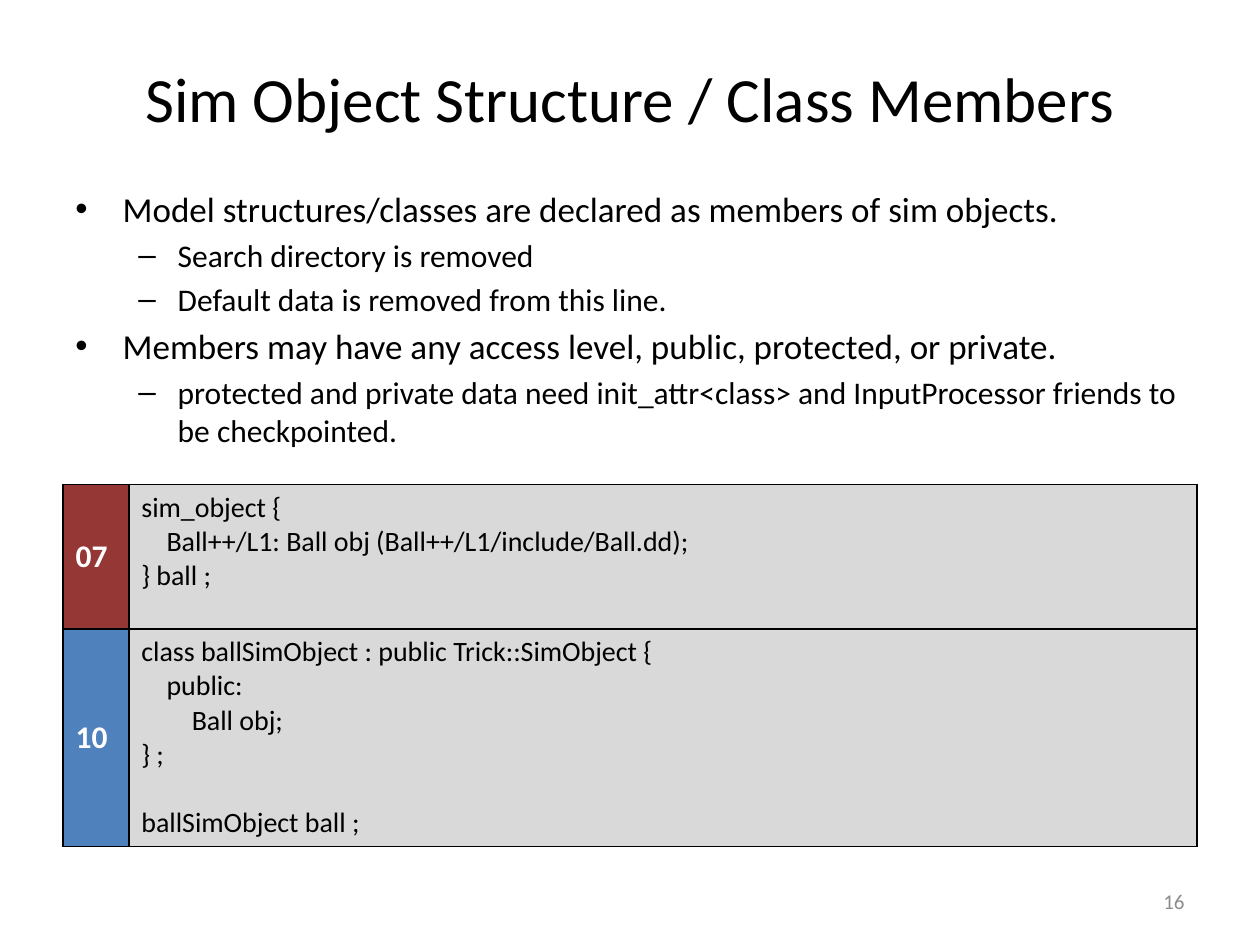
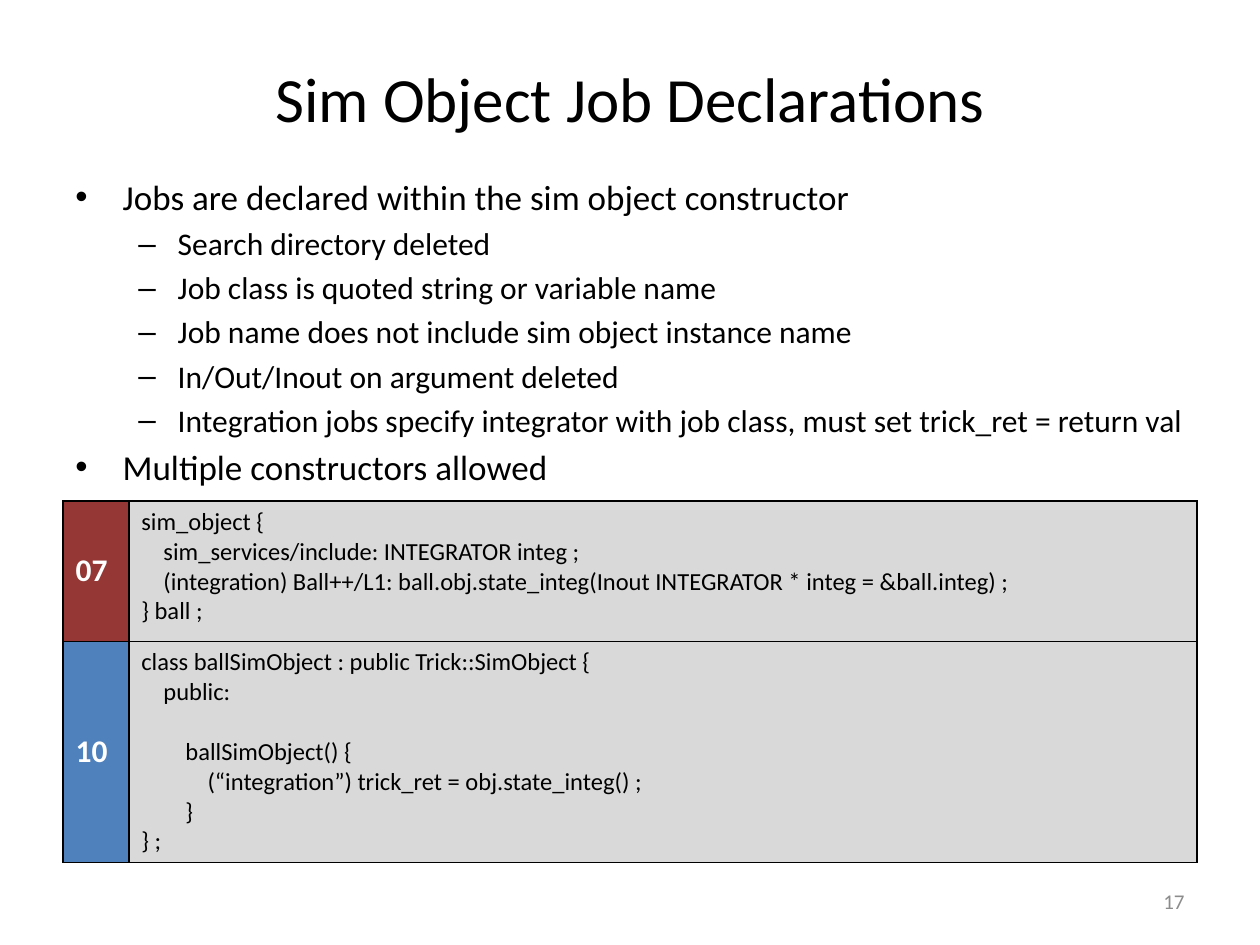
from lxml import etree
from pptx import Presentation
from pptx.dml.color import RGBColor
from pptx.enum.text import MSO_ANCHOR, PP_ALIGN
from pptx.oxml.ns import qn
from pptx.util import Pt

TOP, MIDDLE = MSO_ANCHOR.TOP, MSO_ANCHOR.MIDDLE
LEFT, CENTER, RIGHT = PP_ALIGN.LEFT, PP_ALIGN.CENTER, PP_ALIGN.RIGHT

BLACK = RGBColor(0x00, 0x00, 0x00)
WHITE = RGBColor(0xFF, 0xFF, 0xFF)
RED = RGBColor(0x95, 0x37, 0x35)
BLUE = RGBColor(0x4F, 0x81, 0xBD)
PALE = RGBColor(0xD9, 0xD9, 0xD9)
GREY = RGBColor(0x8C, 0x8C, 0x8C)

FACE = "Calibri"
EDGE, WIDE = 36, 648
TAG_W = 37.6
LINE = 1.22
TAB = 0.9
TAGS = [("07", RED), ("10", BLUE)]
LEVELS = [
    {"size": 20, "mark": "•", "left": 27, "hang": -27},
    {"size": 18, "mark": "–", "left": 58.5, "hang": -22.5},
]

SLIDES = [
    {
        "title": "Sim Object Structure / Class Members",
        "page": "16",
        "top": 103.5,
        "points": [
            (0, "Model structures/classes are declared as members of sim objects."),
            (1, "Search directory is removed"),
            (1, "Default data is removed from this line."),
            (0, "Members may have any access level, public, protected, or private."),
            (1, "protected and private data need init_attr<class> and "
                "InputProcessor friends to be checkpointed."),
        ],
        "grid": {"top": 276.8, "rows": [82.5, 124.5], "size": 16},
        "code": [
            [
                (0, "sim_object {"),
                (1, "Ball++/L1: Ball obj (Ball++/L1/include/Ball.dd);"),
                (0, "} ball ;"),
            ],
            [
                (0, "class ballSimObject : public Trick::SimObject {"),
                (1, "public:"),
                (2, "Ball obj;"),
                (0, "} ;"),
                (0, "ballSimObject ball ;", 1),
            ],
        ],
    },
    {
        "title": "Sim Object Job Declarations",
        "page": "17",
        "top": 97,
        "points": [
            (0, "Jobs are declared within the sim object constructor"),
            (1, "Search directory deleted"),
            (1, "Job class is quoted string or variable name"),
            (1, "Job name does not include sim object instance name"),
            (1, "In/Out/Inout on argument deleted"),
            (1, "Integration jobs specify integrator with job class, "
                "must set trick_ret = return val"),
            (0, "Multiple constructors allowed"),
        ],
        "grid": {"top": 286.2, "rows": [80.3, 126.5], "size": 14},
        "code": [
            [
                (0, "sim_object {"),
                (1, "sim_services/include: INTEGRATOR integ ;"),
                (1, "(integration) Ball++/L1: ball.obj.state_integ"
                    "(Inout INTEGRATOR * integ = &ball.integ) ;"),
                (0, "} ball ;"),
            ],
            [
                (0, "class ballSimObject : public Trick::SimObject {"),
                (1, "public:"),
                (2, "ballSimObject() {", 1),
                (3, "(“integration”) trick_ret = obj.state_integ() ;"),
                (2, "}"),
                (0, "} ;"),
            ],
        ],
    },
]


def next_para(frame):
    first = frame.paragraphs[0]
    return frame.add_paragraph() if first.runs else first


def write(frame, text, size, color=BLACK, align=LEFT, bold=False):
    para = next_para(frame)
    para.alignment = align
    run = para.add_run()
    run.text = text
    style = {"name": FACE, "size": Pt(size), "bold": bold}
    for key, value in style.items():
        setattr(run.font, key, value)
    run.font.color.rgb = color
    return para


def indent(para, left, hang=0):
    props = para._p.get_or_add_pPr()
    for key, value in {"marL": left, "indent": hang}.items():
        props.set(key, str(int(Pt(value))))
    return props


def add_box(slide, left, top, width, height, anchor=TOP):
    box = slide.shapes.add_textbox(Pt(left), Pt(top), Pt(width), Pt(height))
    frame = box.text_frame
    for key, value in {"word_wrap": True, "vertical_anchor": anchor}.items():
        setattr(frame, key, value)
    return frame


def add_title(slide, text):
    frame = add_box(slide, EDGE, 21.6, WIDE, 68.4, MIDDLE)
    write(frame, text, 36, align=CENTER)


def add_page(slide, text):
    frame = add_box(slide, 516, 500.5, 168, 28.8, MIDDLE)
    write(frame, text, 12, GREY, RIGHT)


def add_points(slide, top, points):
    frame = add_box(slide, EDGE, top, WIDE, 378.7)
    for level, text in points:
        look = LEVELS[level]
        para = write(frame, text, look["size"])
        para.level = level
        para.space_before = Pt(0.2 * look["size"])
        props = indent(para, look["left"], look["hang"])
        font = etree.SubElement(props, qn("a:buFont"))
        font.set("typeface", "Arial")
        mark = etree.SubElement(props, qn("a:buChar"))
        mark.set("char", look["mark"])


def paint(cell, color):
    props = cell._tc.get_or_add_tcPr()
    for side in ("a:lnL", "a:lnR", "a:lnT", "a:lnB"):
        line = etree.SubElement(props, qn(side), w=str(int(Pt(1))))
        fill = etree.SubElement(line, qn("a:solidFill"))
        etree.SubElement(fill, qn("a:srgbClr"), val=str(BLACK))
    cell.fill.solid()
    cell.fill.fore_color.rgb = color


def write_code(frame, lines, size):
    for depth, text, *gap in lines:
        para = write(frame, text, size)
        indent(para, depth * TAB * size)
        if gap:
            para.space_before = Pt(gap[0] * LINE * size)


def add_code(slide, grid, blocks):
    rows = grid["rows"]
    shape = slide.shapes.add_table(
        len(rows), 2, Pt(EDGE), Pt(grid["top"]), Pt(WIDE), Pt(sum(rows)))
    table = shape.table
    for key in ("first_row", "horz_banding"):
        setattr(table, key, False)
    for col, width in zip(table.columns, (TAG_W, WIDE - TAG_W)):
        col.width = Pt(width)
    for row, height, (tag, color), lines in zip(table.rows, rows, TAGS, blocks):
        row.height = Pt(height)
        label, body = row.cells
        label.vertical_anchor = MIDDLE
        write(label.text_frame, tag, 18, WHITE, bold=True)
        paint(label, color)
        write_code(body.text_frame, lines, grid["size"])
        paint(body, PALE)


def main():
    deck = Presentation()
    deck.slide_width, deck.slide_height = Pt(720), Pt(540)
    for data in SLIDES:
        slide = deck.slides.add_slide(deck.slide_layouts[6])
        add_code(slide, data["grid"], data["code"])
        add_title(slide, data["title"])
        add_points(slide, data["top"], data["points"])
        add_page(slide, data["page"])
    deck.save("out.pptx")


main()
